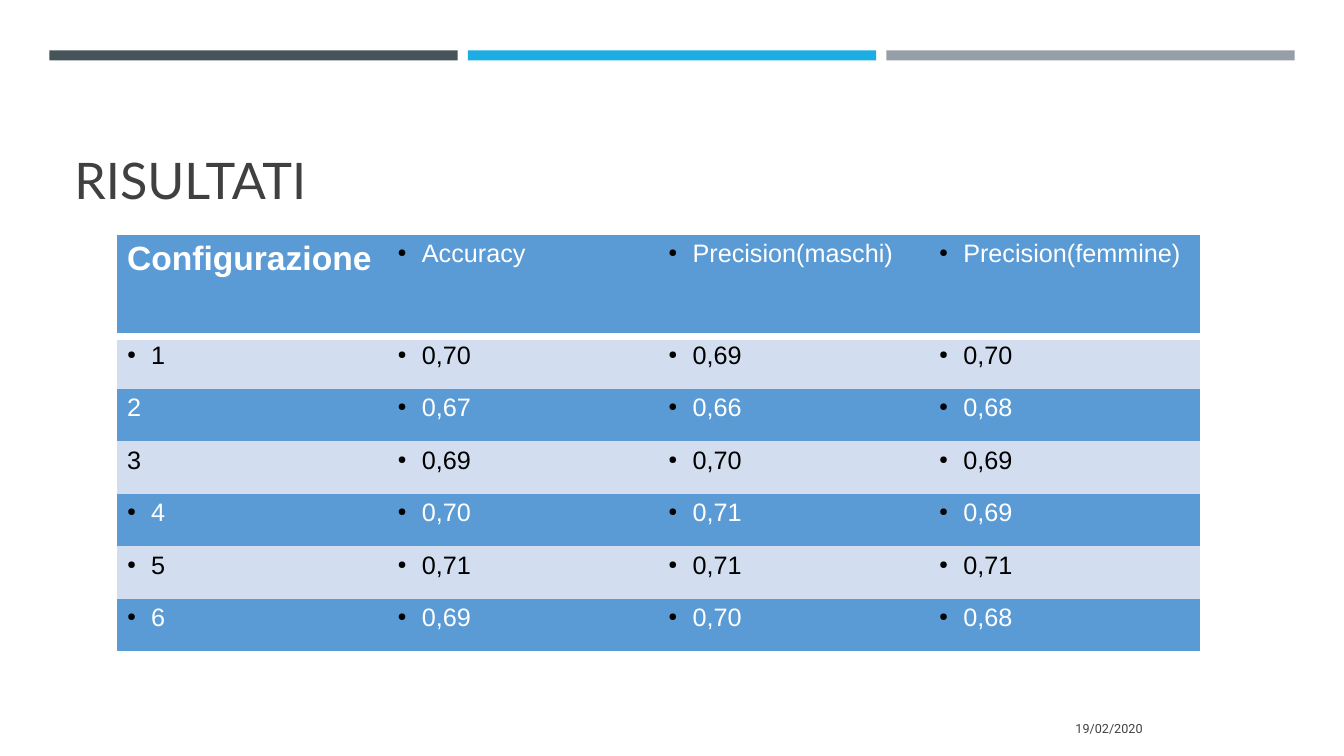
from lxml import etree
from pptx import Presentation
from pptx import util as u
from pptx.dml.color import RGBColor
from pptx.enum import shapes, text
from pptx.oxml import ns

BLUE, PALE, WHITE, BLACK, GRAY = "5B9BD5", "D2DEEF", "FFFFFF", "000000", "404040"
BARS = ["465359", "1CADE4", "969FA7"]
ROWS = [
    ["Configurazione", "Accuracy", "Precision(maschi)", "Precision(femmine)"],
    ["1", "0,70", "0,69", "0,70"],
    ["2", "0,67", "0,66", "0,68"],
    ["3", "0,69", "0,70", "0,69"],
    ["4", "0,70", "0,71", "0,69"],
    ["5", "0,71", "0,71", "0,71"],
    ["6", "0,69", "0,70", "0,68"],
]
PLAIN = {"Configurazione", "2", "3"}
NO_GRID = "{2D5ABB26-0587-4C30-8999-92F81FD0307C}"


def paint(fill, hue):
    fill.solid()
    fill.fore_color.rgb = RGBColor.from_string(hue)


def add(root, tag, **attrs):
    return etree.SubElement(root, ns.qn(tag), attrs)


def write(frame, words, hue, **form):
    para = frame.paragraphs[0]
    run = para.add_run()
    run.text = words
    for key, value in form.items():
        setattr(run.font, key, value)
    paint(run.font.fill, hue)
    return para


def label(slide, box, words, anchor, align, **form):
    frame = slide.shapes.add_textbox(*map(u.Inches, box)).text_frame
    frame.word_wrap = True
    frame.vertical_anchor = anchor
    write(frame, words, GRAY, **form).alignment = align


def bar(slide, left, hue):
    box = map(u.Inches, (left, 0.5, 4.05, 0.1))
    shape = slide.shapes.add_shape(shapes.MSO_SHAPE.RECTANGLE, *box)
    shape.shadow.inherit = False
    paint(shape.fill, hue)
    shape.line.fill.background()


def bullet(para):
    props = para._p.get_or_add_pPr()
    props.set("marL", str(u.Inches(0.24)))
    props.set("indent", str(u.Inches(-0.24)))
    add(add(props, "a:buClr"), "a:srgbClr", val=BLACK)
    add(props, "a:buSzPct", val="45000")
    add(props, "a:buChar", char="●")


def rule(cell):
    line = add(cell._tc.get_or_add_tcPr(), "a:lnB", w=str(u.Pt(6)))
    add(add(line, "a:solidFill"), "a:srgbClr", val=WHITE)


def grid(slide):
    box = map(u.Inches, (1.16, 2.33, 10.74, 4.13))
    frame = slide.shapes.add_table(len(ROWS), len(ROWS[0]), *box)
    next(frame.element.iter(ns.qn("a:tableStyleId"))).text = NO_GRID
    table = frame.table
    for r, row in enumerate(ROWS):
        head = r == 0
        dark = r % 2 == 0
        table.rows[r].height = u.Inches(1.01 if head else 0.52)
        for c, words in enumerate(row):
            cell = table.cell(r, c)
            if head:
                rule(cell)
            paint(cell.fill, BLUE if dark else PALE)
            first = head and c == 0
            para = write(cell.text_frame, words, WHITE if dark else BLACK,
                         name="Arial", size=u.Pt(24 if first else 18), bold=first)
            if words not in PLAIN:
                bullet(para)


def main():
    deck = Presentation()
    deck.slide_width, deck.slide_height = u.Inches(13.33), u.Inches(7.5)
    slide = deck.slides.add_slide(deck.slide_layouts[6])
    for i, hue in enumerate(BARS):
        bar(slide, 0.49 + 4.15 * i, hue)
    label(slide, (8.32, 7.03, 3.11, 0.4), "19/02/2020", text.MSO_ANCHOR.MIDDLE,
          text.PP_ALIGN.RIGHT, name="Roboto", size=u.Pt(9))
    label(slide, (0.64, 1.36, 12.06, 0.77), "RISULTATI", text.MSO_ANCHOR.BOTTOM,
          text.PP_ALIGN.LEFT, name="Lato", size=u.Pt(36))
    grid(slide)
    deck.save("out.pptx")


if __name__ == "__main__":
    main()
